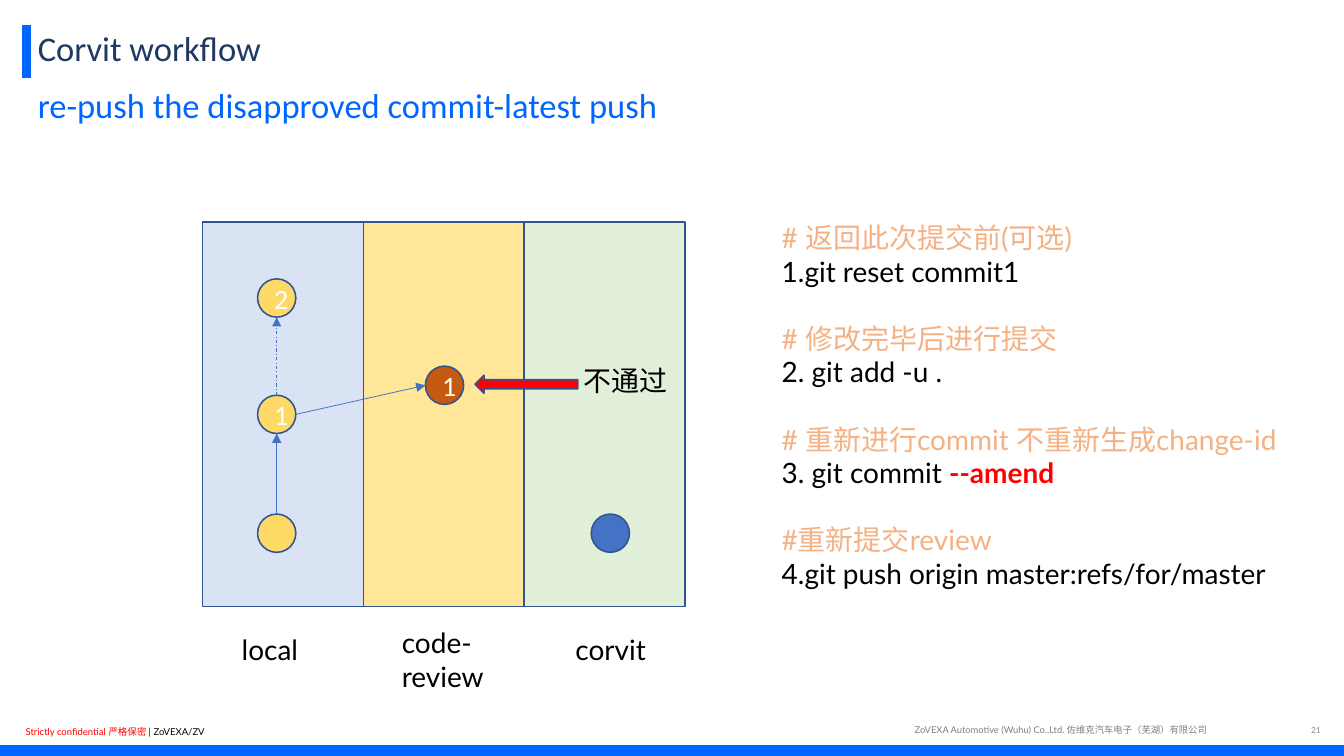
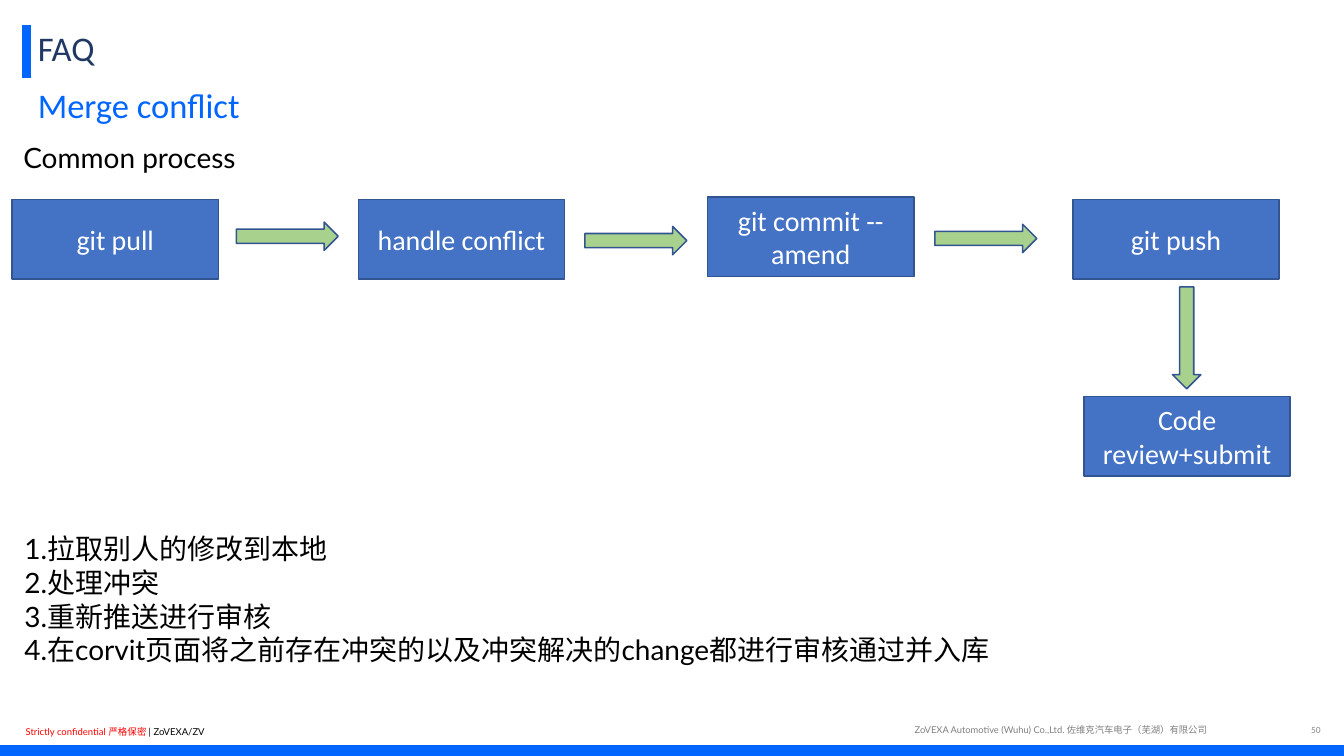
from lxml import etree
from pptx import Presentation
from pptx.dml.color import RGBColor
from pptx.enum import dml, shapes, text
from pptx.oxml.ns import qn
from pptx.util import Pt

BLUE, NAVY, EDGE = "0066FF", "203864", "325491"
MID, WHITE, BLACK, RED = "4472C4", "FFFFFF", "000000", "FF0000"
YELLOW, GREEN, PEACH, GRAY = "FFD966", "A9D18E", "F4B183", "808080"
RECT = shapes.MSO_SHAPE.RECTANGLE
OVAL = shapes.MSO_SHAPE.OVAL
ARROW = shapes.MSO_SHAPE.RIGHT_ARROW
MIDDLE = text.MSO_ANCHOR.MIDDLE
DOT = 24.6


def rgb(value):
    return RGBColor.from_string(value)


def apply(obj, values):
    for name, value in values.items():
        setattr(obj, name, value)


def add_run(p, content, color, size=18, font="Lato", bold=False):
    r = p.add_run()
    r.text = content
    apply(r.font, {"size": Pt(size), "name": font, "bold": bold})
    r.font.color.rgb = rgb(color)


def add_text(s, box, lines, anchor=text.MSO_ANCHOR.TOP, **fmt):
    tf = s.shapes.add_textbox(*map(Pt, box)).text_frame
    apply(tf, {"word_wrap": True, "vertical_anchor": anchor})
    for i, runs in enumerate(lines):
        p = tf.paragraphs[0] if i == 0 else tf.add_paragraph()
        apply(p, fmt)
        for args in runs:
            add_run(p, *args)
    return tf


def add_shape(s, kind, box, fill, label="", edge=EDGE, rotation=0):
    sp = s.shapes.add_shape(kind, *map(Pt, box))
    sp.shadow.inherit = False
    sp.rotation = rotation
    sp.fill.solid()
    sp.fill.fore_color.rgb = rgb(fill)
    if edge:
        sp.line.color.rgb = rgb(edge)
        sp.line.width = Pt(1)
    else:
        sp.line.fill.background()
    if label:
        sp.text_frame.vertical_anchor = MIDDLE
        p = sp.text_frame.paragraphs[0]
        p.alignment = text.PP_ALIGN.CENTER
        add_run(p, label, WHITE, font="Calibri")
    return sp


def add_line(s, start, end, color=MID, width=0.5, dash=None, head=True):
    cx = s.shapes.add_connector(shapes.MSO_CONNECTOR.STRAIGHT, *map(Pt, start + end))
    cx.line.color.rgb = rgb(color)
    apply(cx.line, {"width": Pt(width), "dash_style": dash})
    if head:
        etree.SubElement(cx.line._get_or_add_ln(), qn("a:tailEnd"), type="triangle")
    etree.SubElement(cx._element.spPr, qn("a:effectLst"))


def add_commit(s, x, y, fill, label=""):
    add_shape(s, OVAL, (x - DOT / 2, y - DOT / 2, DOT, DOT), fill, label)


def add_frame(prs, title, subtitle, number):
    s = prs.slides.add_slide(prs.slide_layouts[6])
    add_shape(s, RECT, (0, 479, 864, 7), BLUE, edge=None)
    add_text(s, (9.4, 463, 190, 14.4),
             [[("Strictly confidential 严格保密 ", RED, 6.1), ("| ZoVEXA/ZV", BLACK, 6.1)]])
    add_text(s, (581, 462.3, 266.4, 14.4),
             [[("ZoVEXA Automotive (Wuhu) Co.,Ltd. 佐维克汽车电子（芜湖）有限公司", GRAY, 6)]])
    add_line(s, (17.2, 15.8), (17.2, 50.4), BLUE, 6, head=False)
    add_text(s, (815.8, 464.4, 40.3, 10), [[(number, "8C8C8C", 6.1, "Calibri")]],
             MIDDLE, alignment=text.PP_ALIGN.RIGHT)
    add_text(s, (17.2, 15, 691, 34.6), [[(title, NAVY, 22.2, "Calibri")]],
             MIDDLE, line_spacing=0.9)
    add_text(s, (17.2, 50, 829.4, 34.6), [[(subtitle, BLUE, 22.2, "Calibri")]],
             MIDDLE, space_before=Pt(7.6))
    return s


def workflow_slide(prs):
    s = add_frame(prs, "Corvit workflow", "re-push the disapproved commit-latest push", "21")
    lanes = [("DAE3F3", "local", 148.3, 403.2), ("FFE699", "code-review", 251.3, 398.9),
             ("E2F0D9", "corvit", 362.9, 403.2)]
    for i, (fill, name, x, y) in enumerate(lanes):
        add_shape(s, RECT, (130.2 + i * 103.4, 142.6, 103.4, 247.2), fill)
        add_text(s, (x, y, 103, 28.8), [[(name, BLACK)]])

    local_x, review_x, review_y = 177.9, 285.8, 247.7
    base_y, first_y, second_y = 342.8, 266.4, 191.6
    r = DOT / 2
    add_commit(s, local_x, base_y, YELLOW)
    add_commit(s, 392.4, base_y, MID)
    add_commit(s, local_x, first_y, YELLOW, "1")
    add_commit(s, review_x, review_y, "C55A11", "1")
    add_commit(s, local_x, second_y, YELLOW, "2")
    add_line(s, (local_x + r, first_y), (review_x - r, review_y))
    add_line(s, (local_x, base_y - r), (local_x, first_y + r))
    add_line(s, (local_x, first_y - r), (local_x, second_y + r),
             dash=dml.MSO_LINE.DASH_DOT)
    add_shape(s, ARROW, (305.3, 241.2, 66.2, 11.6), RED, rotation=180)
    add_text(s, (367.9, 230.4, 84.2, 28.8), [[("不通过", BLACK)]])

    steps = [
        ("# 返回此次提交前(可选)", [("1.git reset commit1", BLACK)]),
        ("# 修改完毕后进行提交", [("2. git add -u .", BLACK)]),
        ("# 重新进行commit 不重新生成change-id",
         [("3. git commit ", BLACK), ("--amend", RED, 18, "Lato", True)]),
        ("#重新提交review", [("4.git push origin master:refs/for/master", BLACK)]),
    ]
    lines = [line for note, command in steps for line in ([(note, PEACH)], command)]
    tf = add_text(s, (495.4, 138.2, 368.6, 247), lines)
    for p in tf.paragraphs[2::2]:
        p.space_before = Pt(21.6)


def faq_slide(prs):
    s = add_frame(prs, "FAQ", "Merge conflict", "50")
    add_text(s, (7.9, 87.1, 181.4, 28.8), [[("Common process", BLACK)]])
    stages = [(7.9, 128.2, "git pull"), (230.4, 128.2, "handle conflict"),
              (455, 126.7, "git commit --amend"), (689.8, 128.2, "git push"),
              (697, 254.9, "Code review+submit")]
    for x, y, label in stages:
        add_shape(s, RECT, (x, y, 132.5, 51.1), MID, label)
    arrows = [(151.9, 142.8, 0), (376, 145.6, 0), (601, 144.2, 0), (730.1, 208.1, 90)]
    for x, y, rotation in arrows:
        add_shape(s, ARROW, (x, y, 65.5, 18.2), GREEN, rotation=rotation)
    notes = ["1.拉取别人的修改到本地", "2.处理冲突", "3.重新推送进行审核",
             "4.在corvit页面将之前存在冲突的以及冲突解决的change都进行审核通过并入库"]
    add_text(s, (8.6, 338.4, 800, 94.3), [[(note, BLACK)] for note in notes])


def main():
    prs = Presentation()
    apply(prs, {"slide_width": Pt(864), "slide_height": Pt(486)})
    workflow_slide(prs)
    faq_slide(prs)
    prs.save("out.pptx")


if __name__ == "__main__":
    main()
